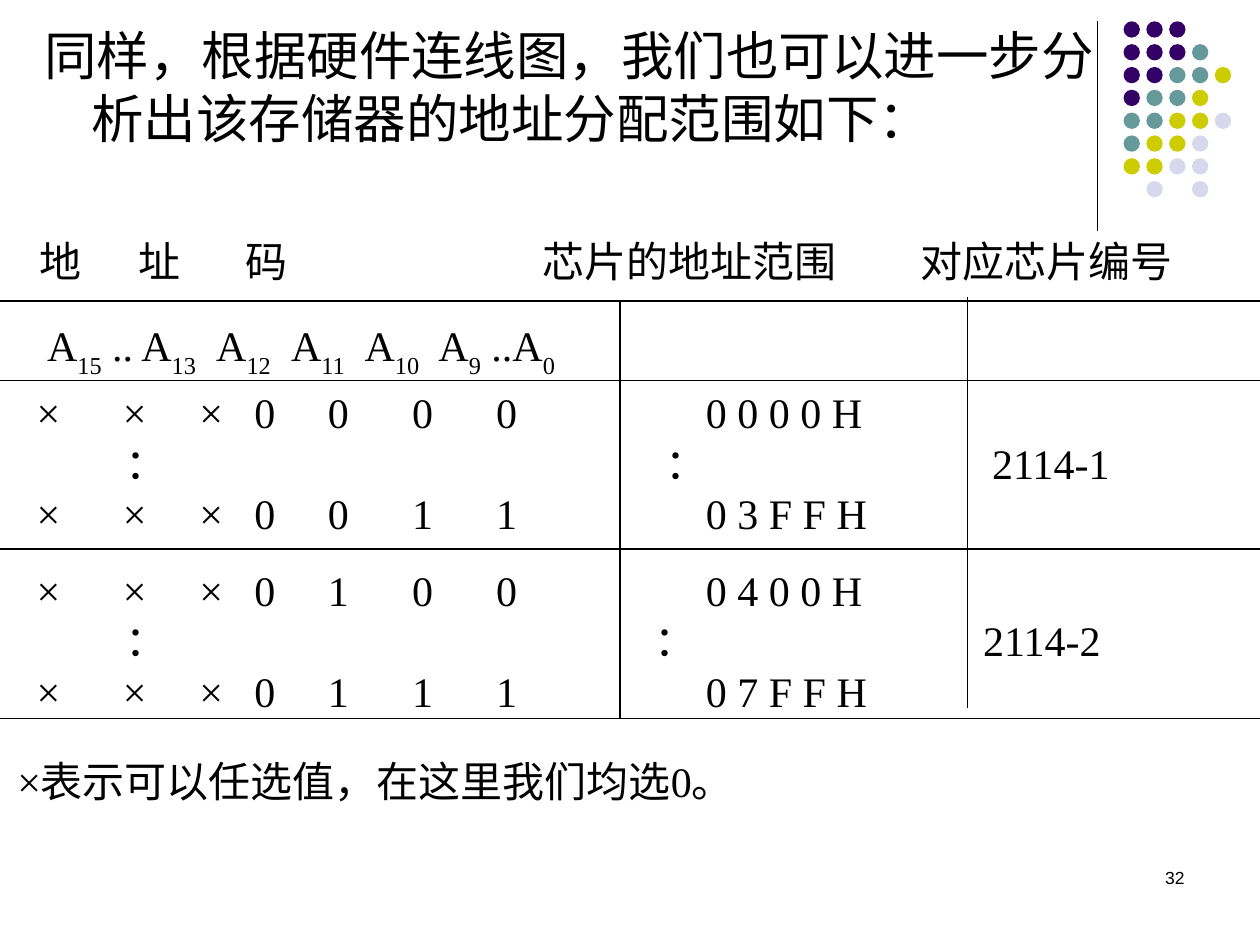
from lxml import etree
from pptx import Presentation
from pptx.dml.color import RGBColor
from pptx.enum.lang import MSO_LANGUAGE_ID
from pptx.enum.shapes import MSO_CONNECTOR, MSO_SHAPE
from pptx.enum.text import PP_ALIGN
from pptx.oxml.ns import qn
from pptx.util import Cm, Pt

OVAL = MSO_SHAPE.OVAL
LINE = MSO_CONNECTOR.STRAIGHT
RIGHT = PP_ALIGN.RIGHT
CHINESE = MSO_LANGUAGE_ID.SIMPLIFIED_CHINESE
ROMAN = "Times New Roman"


def tint(code):
    return RGBColor.from_string(code)


def write(box, lines, size, font):
    """Each line is a pair: its runs (odd ones are subscripts) and its tab stops."""
    frame = box.text_frame
    frame.word_wrap = True
    for i, (runs, stops) in enumerate(lines):
        para = frame.paragraphs[0] if i == 0 else frame.add_paragraph()
        if stops:
            tabs = etree.SubElement(para._p.get_or_add_pPr(), qn("a:tabLst"))
            for stop in stops:
                etree.SubElement(tabs, qn("a:tab"), pos=str(Cm(stop)), algn="l")
        for j, text in enumerate(runs):
            run = para.add_run()
            run.text = text
            run.font.size = Pt(size)
            run.font.name = font
            run.font.color.rgb = tint("000000")
            run.font.language_id = CHINESE
            if j % 2:
                run._r.get_or_add_rPr().set("baseline", "-30000")
    return frame


deck = Presentation()
deck.slide_width, deck.slide_height = Cm(25.4), Cm(19.05)
slide = deck.slides.add_slide(deck.slide_layouts[6])
shapes = slide.shapes

# Dot pattern in the corner
inks = {"P": "330066", "T": "669999", "Y": "CCCC00", "L": "D8D8EC"}
dots = ["PPP", "PPPT", "PPTTY", "PTTY", "TTYYL", "TYYL", "YYLL", " L L"]
for row, keys in enumerate(dots):
    for col, key in enumerate(keys):
        if key in inks:
            dot = shapes.add_shape(OVAL, Cm(22.65 + 0.46 * col),
                                   Cm(0.43 + 0.46 * row), Cm(0.33), Cm(0.33))
            dot.shadow.inherit = False
            dot.fill.solid()
            dot.fill.fore_color.rgb = tint(inks[key])
            dot.line.fill.background()

# Title and page number
title = shapes.add_textbox(Cm(0.64), Cm(0.33), Cm(22.07), Cm(3.81))
frame = write(title, [(["同样，根据硬件连线图，我们也可以进一步分析出该存储器的地址分配范围如下："], [])],
              30, "Arial")
props = frame.paragraphs[0]._p.get_or_add_pPr()
props.set("marL", str(Cm(0.95)))
props.set("indent", str(Cm(-0.95)))

page = shapes.add_textbox(Cm(18.21), Cm(17.35), Cm(5.92), Cm(1.27))
write(page, [(["32"], [])], 10, "Arial").paragraphs[0].alignment = RIGHT

# Table text: left, top, width, height, lines
bits = [0.64, 2.38, 3.92, 5.03, 6.51, 8.21, 9.9, 14.13]
names = ["\tA", "15", " .. A", "13", "\tA", "12", "\tA", "11",
         "\tA", "10", "\tA", "9", " ..A", "0"]
boxes = [
    (0.69, 4.62, 24.71, 1.27,
     [(["地\t址\t码\t芯片的地址范围\t对应芯片编号"], [2, 4.17, 10.14, 17.76])]),
    (0.25, 6.32, 11.2, 1.23, [(names, [0.6, 4.01, 5.52, 7, 8.49])]),
    (0.25, 15.11, 15.6, 1.27, [(["×表示可以任选值，在这里我们均选0。"], [])]),
]
blocks = [
    (7.67, "0\t0\t0", "0 0 0 0 H", "0\t1\t1", "0 3 F F H", "2114-1", [2.44, 13.31, 19.9]),
    (11.25, "1\t0\t0", "0 4 0 0 H", "1\t1\t1", "0 7 F F H", "2114-2", [2.44, 13.1, 19.72]),
]
for top, low, start, high, end, chip, marks in blocks:
    boxes.append((0, top, 24.51, 3.3, [
        ([f"\t×\t×\t×\t0\t{low}\t{start}"], bits),
        ([f"\t：\t：\t{chip}"], marks),
        ([f"\t×\t×\t×\t0\t{high}\t{end}"], bits),
    ]))
for left, top, width, height, lines in boxes:
    box = shapes.add_textbox(Cm(left), Cm(top), Cm(width), Cm(height))
    frame = write(box, lines, 24, ROMAN)
    frame.margin_left, frame.margin_right = Cm(0.1), Cm(0)

# Rules: beside the title, then down and across the table
rules = [(22.12, 0.43, 22.12, 4.65), (12.5, 6.07, 12.5, 14.48), (19.51, 5.99, 19.51, 14.27)]
rules += [(0, y, 25.4, y) for y in (6.07, 7.67, 11.07, 14.48)]
for ends in rules:
    rule = shapes.add_connector(LINE, *map(Cm, ends))
    rule.line.color.rgb = tint("000000")
    rule.line.width = Pt(0.75)
    etree.SubElement(rule._element.spPr, qn("a:effectLst"))

deck.save("out.pptx")
